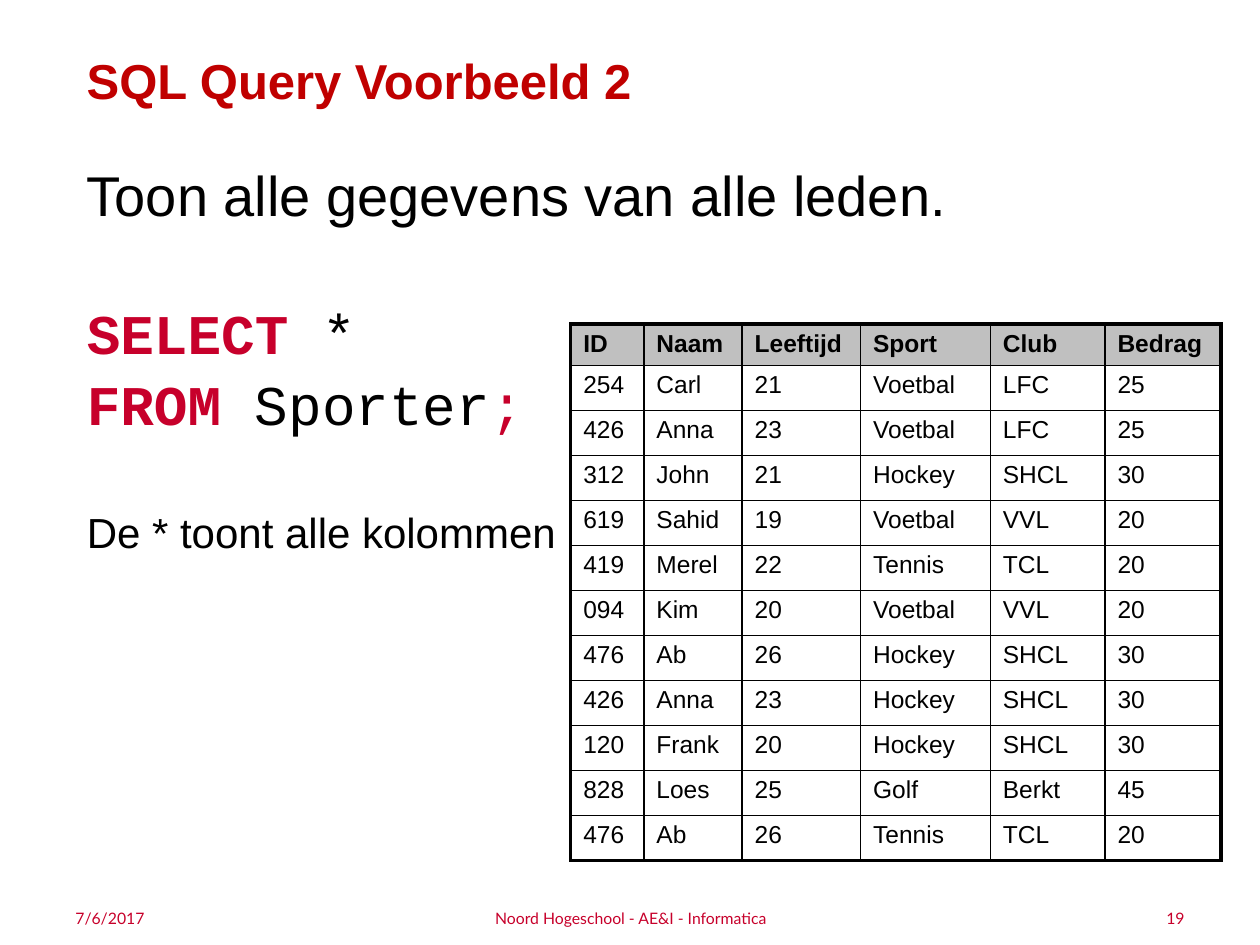
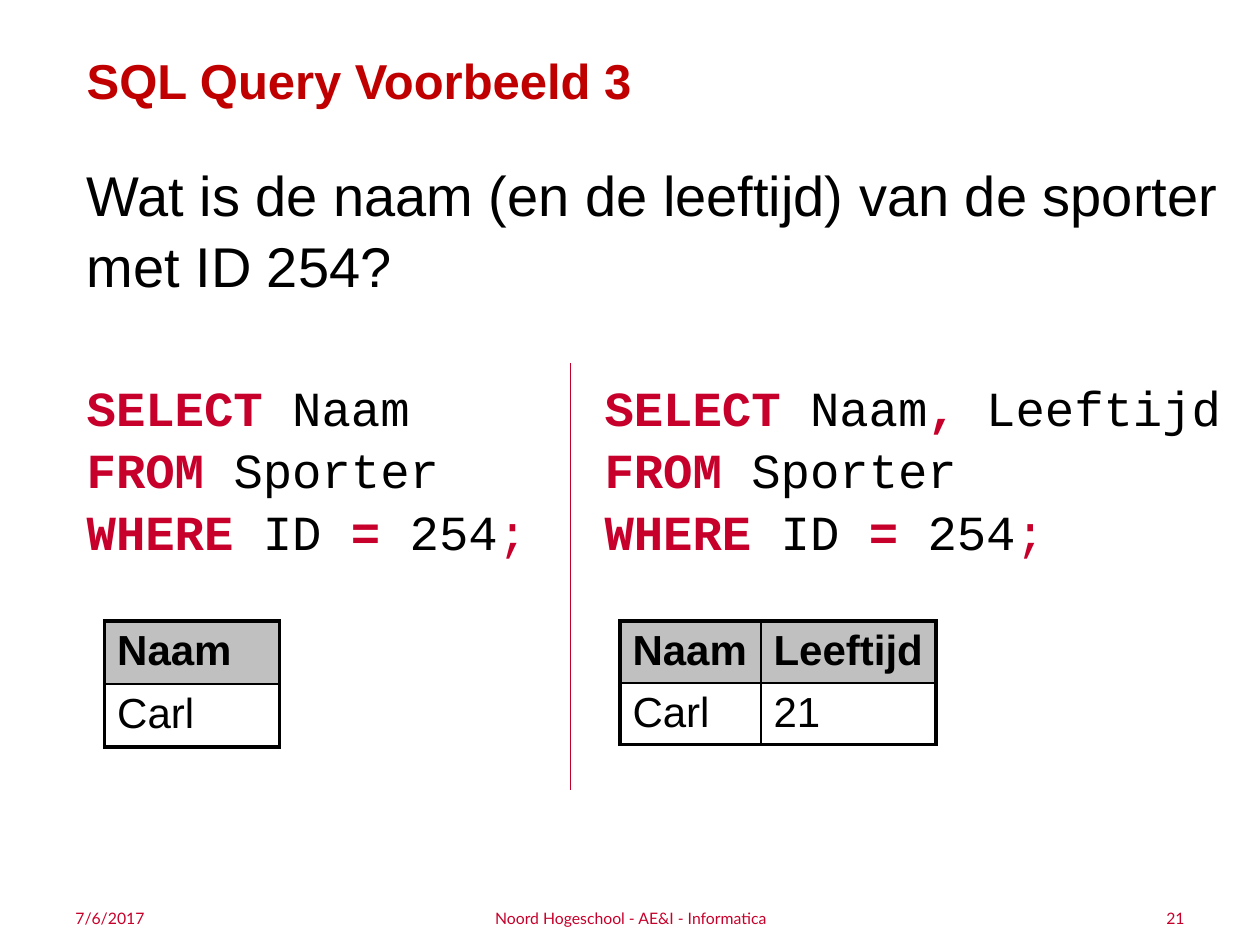
from lxml import etree
from pptx import Presentation
from pptx.dml.color import RGBColor
from pptx.enum.shapes import MSO_CONNECTOR
from pptx.enum.text import MSO_ANCHOR, PP_ALIGN
from pptx.oxml.ns import qn
from pptx.util import Inches, Pt

BLACK = RGBColor(0x00, 0x00, 0x00)
TITLE_RED = RGBColor(0xC0, 0x00, 0x00)
CODE_RED = RGBColor(0xC7, 0x00, 0x2B)
RULE_RED = RGBColor(0xC3, 0x00, 0x2A)
HEADER_GRAY = RGBColor(0xC0, 0xC0, 0xC0)

LEFT, CENTER, RIGHT = PP_ALIGN.LEFT, PP_ALIGN.CENTER, PP_ALIGN.RIGHT
TOP, MIDDLE = MSO_ANCHOR.TOP, MSO_ANCHOR.MIDDLE
STRAIGHT = MSO_CONNECTOR.STRAIGHT

SANS, MONO, FOOTER_FONT = "Arial", "Courier New", "Lato"
KEYWORDS = {"SELECT", "FROM", "WHERE", "=", ","}
LINE_SPACING = 1.05
OUTER, INNER = Pt(2.25), Pt(1)

# The slide is a grid of 100 columns by 75 rows of square units
SLIDE_W, SLIDE_H = Inches(10), Inches(7.5)
UNIT = SLIDE_W / 100
MARGIN = 5.9
TABLE_TOP = 49.3
TAB_STOP = 41.1

MEMBERS = """ID Naam Leeftijd Sport Club Bedrag
254 Carl 21 Voetbal LFC 25
426 Anna 23 Voetbal LFC 25
312 John 21 Hockey SHCL 30
619 Sahid 19 Voetbal VVL 20
419 Merel 22 Tennis TCL 20
094 Kim 20 Voetbal VVL 20
476 Ab 26 Hockey SHCL 30
426 Anna 23 Hockey SHCL 30
120 Frank 20 Hockey SHCL 30
828 Loes 25 Golf Berkt 45
476 Ab 26 Tennis TCL 20"""


def grid(*units):
    return [round(n * UNIT) for n in units]


def style(r, font, size, color=BLACK, bold=False):
    r.font.name, r.font.size, r.font.bold = font, Pt(size), bold
    r.font.color.rgb = color


def add_box(s, x, y, w, h, anchor=TOP, inset=0.7):
    tf = s.shapes.add_textbox(*grid(x, y, w, h)).text_frame
    tf.word_wrap = True
    tf.vertical_anchor = anchor
    tf.margin_top, tf.margin_bottom = grid(inset, inset)
    return tf


def next_paragraph(tf, gap=0):
    """Take the empty first paragraph, or add one below the text."""
    p = tf.paragraphs[0] if not tf.text else tf.add_paragraph()
    p.line_spacing = LINE_SPACING
    p.space_before = Pt(gap)
    return p


def add_line(tf, text, size, gap=0, **look):
    p = next_paragraph(tf, gap)
    p.text = text
    style(p.runs[0], SANS, size, **look)


def add_code(tf, line, size, gap=0):
    """Add a line of SQL whose runs are divided by bars."""
    p = next_paragraph(tf, gap)
    tabs = etree.SubElement(p._p.get_or_add_pPr(), qn("a:tabLst"))
    etree.SubElement(tabs, qn("a:tab"), pos=str(grid(TAB_STOP)[0]), algn="l")
    for text in line.split("|"):
        r = p.add_run()
        r.text = text
        bold = text.strip() in KEYWORDS
        red = bold or text.strip() == ";"
        style(r, MONO, size, CODE_RED if red else BLACK, bold)


def set_borders(cell, widths):
    tc_pr = cell._tc.get_or_add_tcPr()
    for i, (side, width) in enumerate(zip("LRTB", widths)):
        ln = etree.Element(qn(f"a:ln{side}"), w=str(width))
        fill = etree.SubElement(ln, qn("a:solidFill"))
        etree.SubElement(fill, qn("a:srgbClr"), val=str(BLACK))
        tc_pr.insert(i, ln)


def add_grid_table(s, x, y, cols, heights, rows, size):
    table = s.shapes.add_table(
        len(rows), len(cols), *grid(x, y, sum(cols), sum(heights))).table
    for column, width in zip(table.columns, grid(*cols)):
        column.width = width
    for row, height in zip(table.rows, grid(*heights)):
        row.height = height
    last_i, last_j = len(rows) - 1, len(cols) - 1
    for i, row in enumerate(rows):
        for j, text in enumerate(row):
            cell = table.cell(i, j)
            cell.text = text
            cell.margin_top, cell.margin_bottom = grid(0.5, 0.4)
            style(cell.text_frame.paragraphs[0].runs[0], SANS, size, bold=i == 0)
            if i == 0:
                cell.fill.solid()
                cell.fill.fore_color.rgb = HEADER_GRAY
            else:
                cell.fill.background()
            edges = (j == 0, j == last_j, i == 0, i == last_i)
            set_borders(cell, [OUTER if edge else INNER for edge in edges])


def add_divider(s, x, top, bottom):
    line = s.shapes.add_connector(STRAIGHT, *grid(x, top, x, bottom))
    line.line.color.rgb = RULE_RED
    line.line.width = Pt(0.75)
    etree.SubElement(line._element.spPr, qn("a:effectLst"))


def add_base_slide(prs, title, number):
    """Add a slide with its title and the three footer parts."""
    s = prs.slides.add_slide(prs.slide_layouts[6])
    add_line(add_box(s, MARGIN, 3.1, 95.7, 7.9), title, 28,
             color=TITLE_RED, bold=True)
    footers = [(5, 23.3, LEFT, "7/6/2017"),
               (71.7, 23.3, RIGHT, str(number)),
               (34.2, 31.7, CENTER, "Noord Hogeschool - AE&I - Informatica")]
    for x, w, align, text in footers:
        p = add_box(s, x, 71.7, w, 2.4, MIDDLE, 0).paragraphs[0]
        p.text = text
        p.alignment = align
        style(p.runs[0], FOOTER_FONT, 9, CODE_RED)
    return s


def add_all_members(prs):
    s = add_base_slide(prs, "SQL Query Voorbeeld 2", 19)
    tf = add_box(s, MARGIN, 11.8, 93.9, 32)
    add_line(tf, "Toon alle gegevens van alle leden.", 32)
    add_code(tf, "SELECT |*", 32, gap=38.6)
    add_code(tf, "FROM |Sporter|;", 32)
    add_line(tf, "De * toont alle kolommen", 24, gap=38.6)

    # Header row, then equal rows down to the foot of the table
    rows = [line.split() for line in MEMBERS.splitlines()]
    header, total = 3.3, 42.6
    count = len(rows) - 1
    heights = [header] + [(total - header) / count] * count
    add_grid_table(s, 45.3, 25.7, [5.8, 7.8, 9.4, 10.3, 9.1, 9.2],
                   heights, rows, 14)


def add_one_member(prs):
    s = add_base_slide(prs, "SQL Query Voorbeeld 3", 21)
    tf = add_box(s, MARGIN, 11.8, 92.3, 32)
    add_line(tf, "Wat is de naam (en de leeftijd) van de sporter met ID 254?", 32)

    # Two queries side by side, with the result of each below
    add_code(tf, "SELECT |Naam\t|SELECT |Naam|,| Leeftijd", 28, gap=43.5)
    add_code(tf, "FROM |Sporter \t|FROM |Sporter", 28)
    add_code(tf, "WHERE |ID |= |254|;\t|WHERE |ID |= |254|;", 28)
    add_divider(s, 45.3, 28.8, 62.7)
    add_grid_table(s, 8.3, TABLE_TOP, [13.9], [5, 5], [["Naam"], ["Carl"]], 24)
    add_grid_table(s, 49.2, TABLE_TOP, [11.2, 13.9], [4.7, 4.7],
                   [["Naam", "Leeftijd"], ["Carl", "21"]], 24)


def main():
    prs = Presentation()
    prs.slide_width, prs.slide_height = SLIDE_W, SLIDE_H
    add_all_members(prs)
    add_one_member(prs)
    prs.save("out.pptx")


if __name__ == "__main__":
    main()
